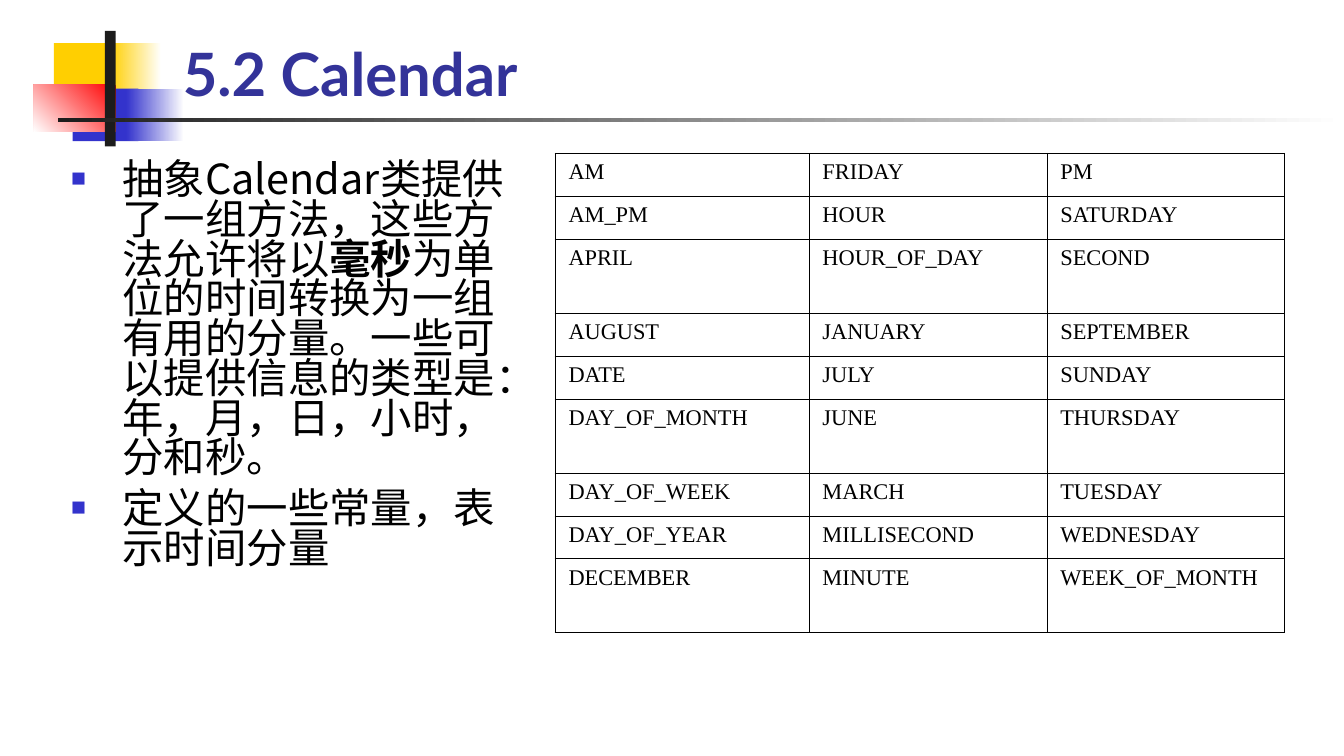
from lxml.etree import SubElement
from pptx import Presentation
from pptx.dml.color import RGBColor
from pptx.enum.shapes import MSO_SHAPE
from pptx.enum.text import MSO_ANCHOR, MSO_AUTO_SIZE, PP_ALIGN
from pptx.oxml import parse_xml
from pptx.oxml.ns import nsdecls, qn
from pptx.util import Inches, Pt

HEADING = "5.2 Calendar"
POINTS = [
    [("抽象Calendar类提供了一组方法，这些方法允许将以", False), ("毫秒", True),
     ("为单位的时间转换为一组有用的分量。一些可以提供信息的类型是：年，月，日，小时，分和秒。", False)],
    [("定义的一些常量，表示时间分量", False)],
]
CONSTANTS = [
    ("AM", "FRIDAY", "PM"),
    ("AM_PM", "HOUR", "SATURDAY"),
    ("APRIL", "HOUR_OF_DAY", "SECOND"),
    ("AUGUST", "JANUARY", "SEPTEMBER"),
    ("DATE", "JULY", "SUNDAY"),
    ("DAY_OF_MONTH", "JUNE", "THURSDAY"),
    ("DAY_OF_WEEK", "MARCH", "TUESDAY"),
    ("DAY_OF_YEAR", "MILLISECOND", "WEDNESDAY"),
    ("DECEMBER", "MINUTE", "WEEK_OF_MONTH"),
]
COLUMN_WIDTHS = (1.89, 1.77, 1.77)
SHORT_ROW, TALL_ROW = 0.32, 0.55

YELLOW, BLUE, RED, DARK, WHITE = "FFCF01", "3333CC", "FF0000", "1C1C1C", "FFFFFF"
ORNAMENT = [
    ((0.4, 0.32, 0.51, 0.39), (YELLOW,), 0),
    ((0.82, 0.32, 0.38, 0.39), (WHITE, YELLOW), 180),
    ((0.54, 0.66, 0.49, 0.39), (BLUE,), 0),
    ((0.94, 0.66, 0.43, 0.39), (WHITE, BLUE), 180),
    ((0.25, 0.63, 0.61, 0.35), (RED, WHITE), 225),
    ((0.78, 0.23, 0.08, 0.86), (DARK,), 0),
    ((0.43, 0.88, 9.57, 0.03), (WHITE, DARK), 180),
]

TITLE_FONT = {"name": "Lato", "size": Pt(32), "bold": True}
BODY_FONT = {"name": "Noto Sans CJK SC", "size": Pt(22.2)}
CELL_FONT = {"name": "Times New Roman", "size": Pt(12), "bold": False}


def paint(color, value):
    color.rgb = RGBColor.from_string(value)


def style(font, formats, color):
    for key, value in formats.items():
        setattr(font, key, value)
    paint(font.color, color)


def place(shape, box):
    for key, value in zip(("left", "top", "width", "height"), box):
        setattr(shape, key, Inches(value))


def add_ornament(slide):
    for box, colors, angle in ORNAMENT:
        block = slide.shapes.add_shape(MSO_SHAPE.RECTANGLE, *map(Inches, box))
        block.shadow.inherit = False
        block.line.fill.background()
        if len(colors) == 1:
            block.fill.solid()
            paint(block.fill.fore_color, colors[0])
        else:
            block.fill.gradient()
            block.fill.gradient_angle = angle
            for stop, color in zip(block.fill.gradient_stops, colors):
                paint(stop.color, color)


def add_bullet(paragraph):
    properties = paragraph._p.get_or_add_pPr()
    properties.set("marL", str(Inches(0.38)))
    properties.set("indent", str(-Inches(0.38)))
    SubElement(SubElement(properties, qn("a:buClr")), qn("a:srgbClr"), val=BLUE)
    SubElement(properties, qn("a:buSzPct"), val="60000")
    SubElement(properties, qn("a:buChar"), char="■")


def fill_title(title):
    place(title, (1.26, 0.17, 8.52, 0.69))
    frame = title.text_frame
    frame.text = HEADING
    frame.vertical_anchor = MSO_ANCHOR.BOTTOM
    frame.auto_size = MSO_AUTO_SIZE.NONE
    frame.paragraphs[0].alignment = PP_ALIGN.LEFT
    style(frame.paragraphs[0].runs[0].font, TITLE_FONT, "333399")


def fill_body(body):
    place(body, (0.43, 1.16, 3.54, 3.38))
    frame = body.text_frame
    frame.auto_size = MSO_AUTO_SIZE.NONE
    for index, point in enumerate(POINTS):
        paragraph = frame.add_paragraph() if index else frame.paragraphs[0]
        add_bullet(paragraph)
        paragraph.line_spacing = 0.8
        paragraph.space_before = Pt(6 if index else 0)
        for text, bold in point:
            run = paragraph.add_run()
            run.text = text
            style(run.font, {**BODY_FONT, "bold": bold}, "000000")
            SubElement(run._r.get_or_add_rPr(), qn("a:ea"), typeface=BODY_FONT["name"])


def add_borders(cell):
    properties = cell._tc.get_or_add_tcPr()
    for index, side in enumerate("LRTB"):
        properties.insert(index, parse_xml(
            f'<a:ln{side} {nsdecls("a")} w="{Pt(0.45)}"><a:solidFill>'
            f'<a:srgbClr val="000000"/></a:solidFill></a:ln{side}>'))


def add_constants(slide):
    heights = [SHORT_ROW if number % 3 else TALL_ROW for number in range(1, len(CONSTANTS) + 1)]
    box = (4.13, 1.14, sum(COLUMN_WIDTHS), sum(heights))
    table = slide.shapes.add_table(len(CONSTANTS), len(COLUMN_WIDTHS), *map(Inches, box)).table
    table.first_row = table.horz_banding = False
    for column, width in zip(table.columns, COLUMN_WIDTHS):
        column.width = Inches(width)
    for row, height, names in zip(table.rows, heights, CONSTANTS):
        row.height = Inches(height)
        for cell, name in zip(row.cells, names):
            cell.text = name
            cell.fill.background()
            add_borders(cell)
            style(cell.text_frame.paragraphs[0].runs[0].font, CELL_FONT, "000000")


def main():
    deck = Presentation()
    deck.slide_width = Inches(10)
    deck.slide_height = deck.slide_width * 9 // 16
    slide = deck.slides.add_slide(deck.slide_layouts[1])
    title, body = slide.placeholders
    add_ornament(slide)
    for placeholder in (title, body):
        placeholder.element.getparent().append(placeholder.element)
    fill_title(title)
    fill_body(body)
    add_constants(slide)
    deck.save("out.pptx")


if __name__ == "__main__":
    main()
